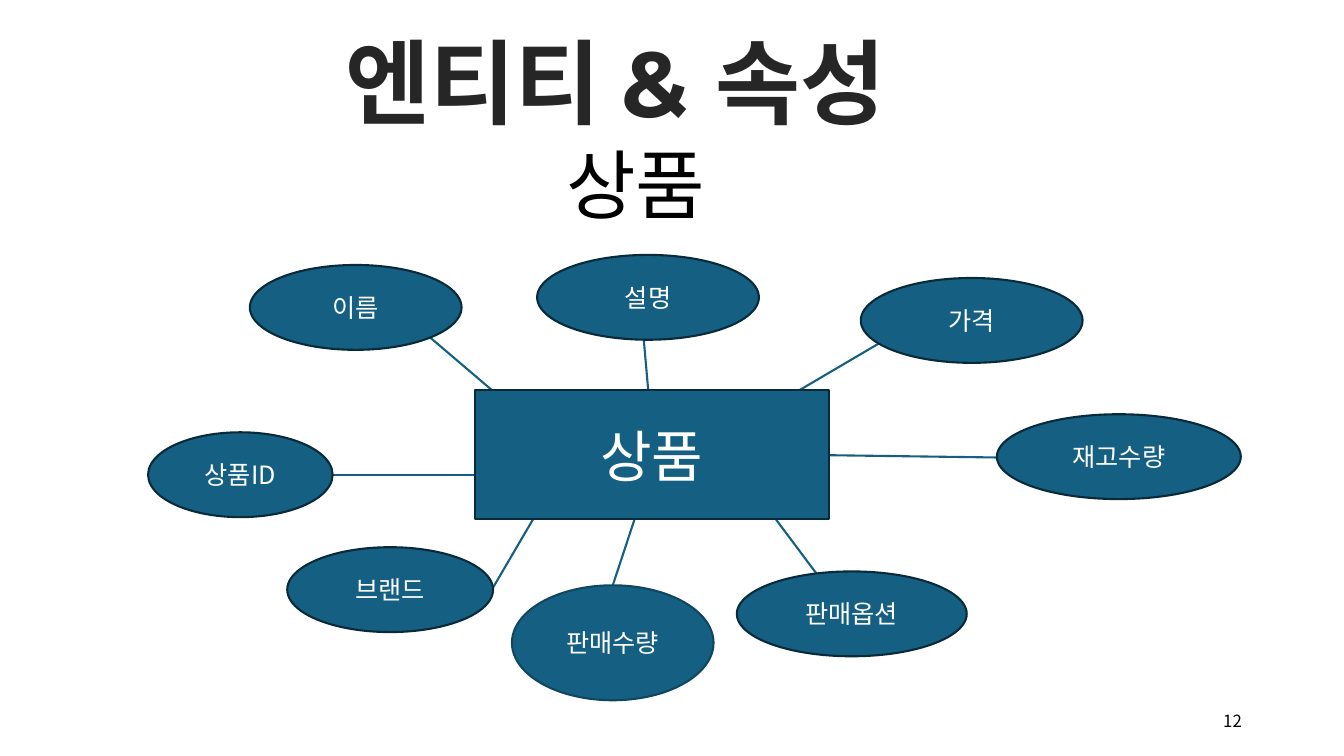
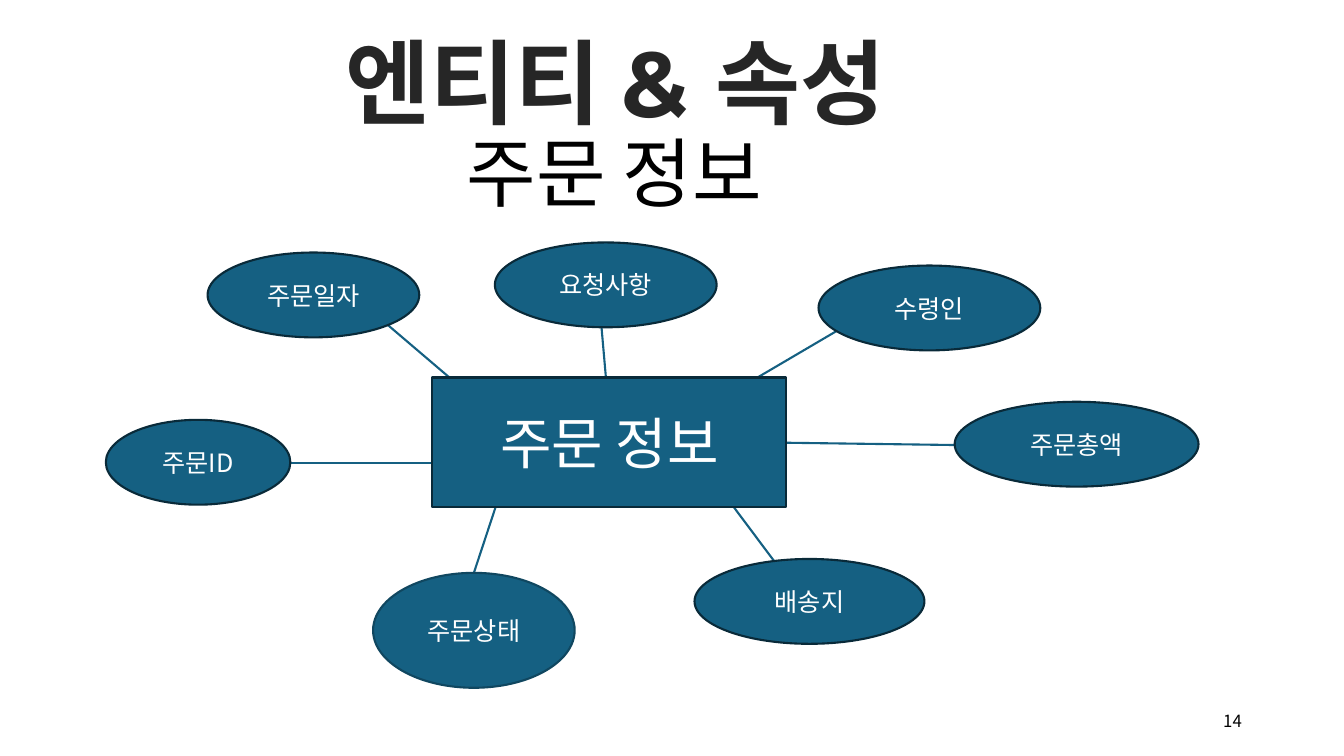
import pptx
import pptx.dml.color
import pptx.enum.shapes
import pptx.enum.text
import pptx.oxml.ns
import pptx.util
from lxml import etree

Pt = pptx.util.Pt
ALIGN = pptx.enum.text.PP_ALIGN
ANCHOR = pptx.enum.text.MSO_ANCHOR
SHAPE = pptx.enum.shapes.MSO_SHAPE

KOREAN, LATIN = "Noto Sans CJK KR", "Montserrat"
BLUE, NAVY, TEAL = "156082", "092A39", "104760"
INK, BLACK, WHITE = "262626", "000000", "FFFFFF"

ENTITY_SIZE = (252.8, 92.4)
OVAL_HEIGHT = 60.6

# Attribute slots, relative to the entity's top left corner:
# oval (left, top, width, height), link (x1, y1, x2, y2), outline
SLOTS = {
    "id": ((-233.3, 30.2, 131.8, OVAL_HEIGHT), (-101.5, 61, 44.6, 61), NAVY),
    "lower left": ((-133.9, 112.3, 147, OVAL_HEIGHT), (12.2, 142.6, 54, 71.3), NAVY),
    "upper left": ((-160.6, -89.3, 151.2, OVAL_HEIGHT), (-31.7, -37.4, 12.2, 0), NAVY),
    "top": ((44.6, -96.5, 158.4, OVAL_HEIGHT), (118.8, -58.3, 125.3, 15.8), NAVY),
    "upper right": ((275.8, -80, 158.4, OVAL_HEIGHT), (299.5, -39.6, 180.7, 30.2), NAVY),
    "right": ((373, 17.3, 174.2, OVAL_HEIGHT), (373, 48.2, 218.9, 46.1), NAVY),
    "lower right": ((187.2, 129.6, 164.2, OVAL_HEIGHT), (252.7, 142.6, 173.5, 36.7), NAVY),
    "bottom": ((26.6, 139.5, 144, 82.1), (118.8, 78.3, 98.6, 139.5), TEAL),
}

SLIDES = [
    {
        "number": "12", "entity": "상품", "heading_at": (397.4, 95),
        "entity_at": (339.1, 278.6), "bottom_shift": 0,
        "attributes": {
            "id": "상품ID", "lower left": "브랜드", "upper left": "이름",
            "top": "설명", "upper right": "가격", "right": "재고수량",
            "lower right": "판매옵션", "bottom": "판매수량",
        },
    },
    {
        "number": "14", "entity": "주문 정보", "heading_at": (326.2, 86.4),
        "entity_at": (308.9, 269.7), "bottom_shift": -69,
        "attributes": {
            "id": "주문ID", "upper left": "주문일자", "top": "요청사항",
            "upper right": "수령인", "right": "주문총액",
            "lower right": "배송지", "bottom": "주문상태",
        },
    },
]


def rgb(hex_code):
    return pptx.dml.color.RGBColor.from_string(hex_code)


def write(frame, text, size, color, align, anchor, font=KOREAN, bold=False, wrap=True):
    frame.word_wrap = wrap
    frame.auto_size = pptx.enum.text.MSO_AUTO_SIZE.NONE
    frame.vertical_anchor = anchor
    paragraph = frame.paragraphs[0]
    paragraph.alignment = align
    run = paragraph.add_run()
    run.text = text
    run.font.size = Pt(size)
    run.font.bold = bold
    run.font.name = font
    run.font.color.rgb = rgb(color)
    east_asian = etree.SubElement(run.font._element, pptx.oxml.ns.qn("a:ea"))
    east_asian.set("typeface", KOREAN)


def add_title(slide, left, top, width, height):
    title = slide.shapes.title
    title.left, title.top, title.width, title.height = map(Pt, (left, top, width, height))
    write(title.text_frame, "엔티티 & 속성", 66, INK, ALIGN.CENTER, ANCHOR.TOP,
          font=LATIN, bold=True, wrap=False)


def add_label(slide, box, text, size, align, anchor):
    label = slide.shapes.add_textbox(*map(Pt, box))
    write(label.text_frame, text, size, BLACK, align, anchor)


def add_node(slide, kind, box, text, size, outline):
    node = slide.shapes.add_shape(kind, *map(Pt, box))
    node.shadow.inherit = False
    node.fill.solid()
    node.fill.fore_color.rgb = rgb(BLUE)
    node.line.color.rgb = rgb(outline)
    node.line.width = Pt(1.5)
    write(node.text_frame, text, size, WHITE, ALIGN.CENTER, ANCHOR.MIDDLE)


def add_link(slide, ends):
    link = slide.shapes.add_connector(
        pptx.enum.shapes.MSO_CONNECTOR.STRAIGHT, *map(Pt, ends))
    link.line.color.rgb = rgb(BLUE)
    link.line.width = Pt(1.5)
    etree.SubElement(link._element.spPr, pptx.oxml.ns.qn("a:effectLst"))


def add_entity_diagram(slide, left, top, entity, attributes, bottom_shift):
    """Place links first, so that the entity and its ovals cover their ends."""
    ovals = []
    for slot, text in attributes.items():
        (x, y, width, height), (x1, y1, x2, y2), outline = SLOTS[slot]
        slot_left = left + (bottom_shift if slot == "bottom" else 0)
        add_link(slide, (slot_left + x1, top + y1, slot_left + x2, top + y2))
        ovals.append(((slot_left + x, top + y, width, height), text, outline))
    add_node(slide, SHAPE.RECTANGLE, (left, top, *ENTITY_SIZE), entity, 40, NAVY)
    for box, text, outline in ovals:
        add_node(slide, SHAPE.OVAL, box, text, 18, outline)


def add_entity_slide(deck, content):
    slide = deck.slides.add_slide(deck.slide_layouts.get_by_name("Title Only"))
    add_title(slide, 208.8, 14.4, 461.5, 96.5)
    add_label(slide, (*content["heading_at"], 256.3, 72.7), content["entity"], 54,
              ALIGN.LEFT, ANCHOR.TOP)
    add_entity_diagram(slide, *content["entity_at"], content["entity"],
                       content["attributes"], content["bottom_shift"])
    add_label(slide, (678.2, 500.4, 216, 28.8), content["number"], 12,
              ALIGN.RIGHT, ANCHOR.MIDDLE)


def main():
    deck = pptx.Presentation()
    deck.slide_width, deck.slide_height = Pt(960), Pt(540)
    for content in SLIDES:
        add_entity_slide(deck, content)
    deck.save("out.pptx")


if __name__ == "__main__":
    main()
